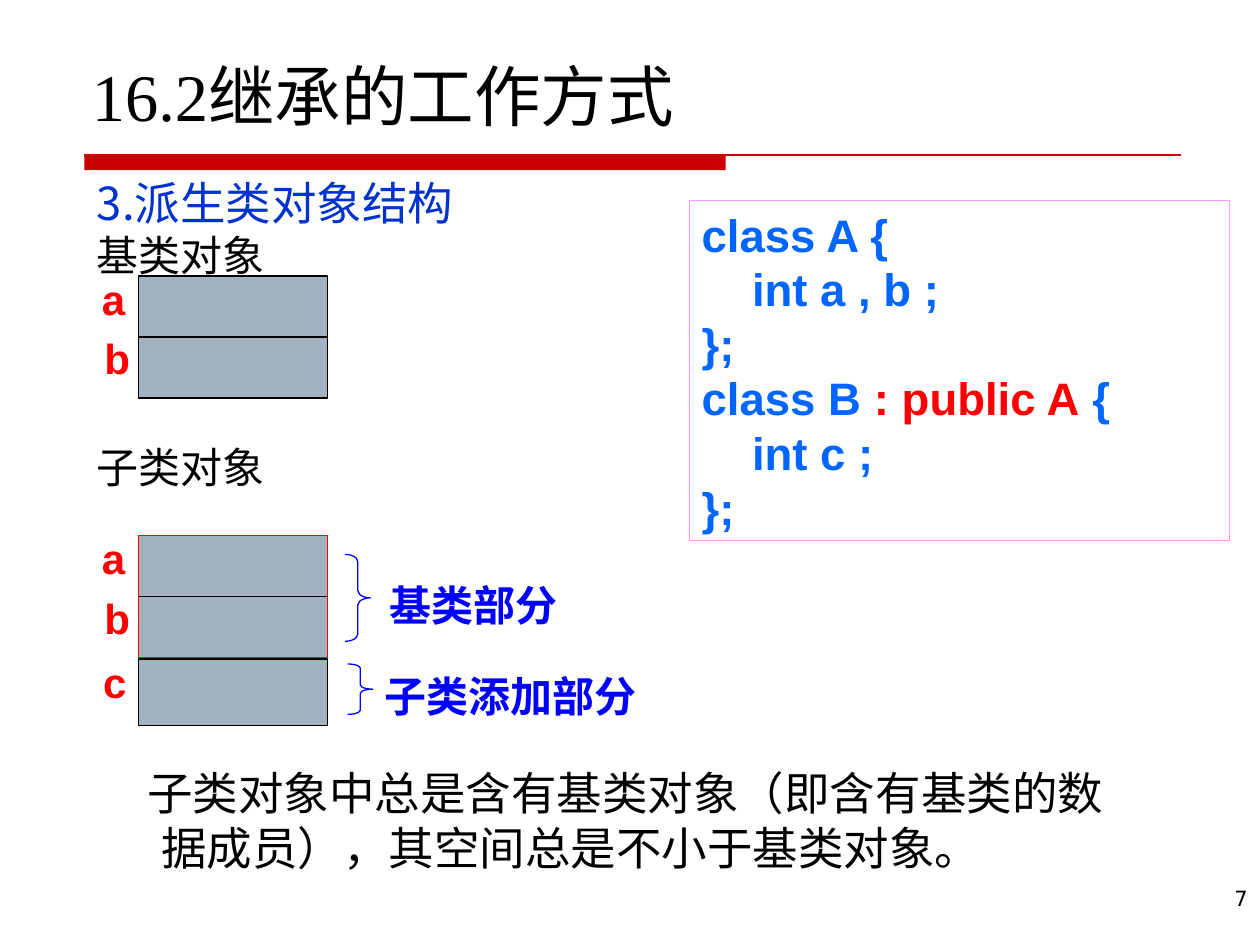
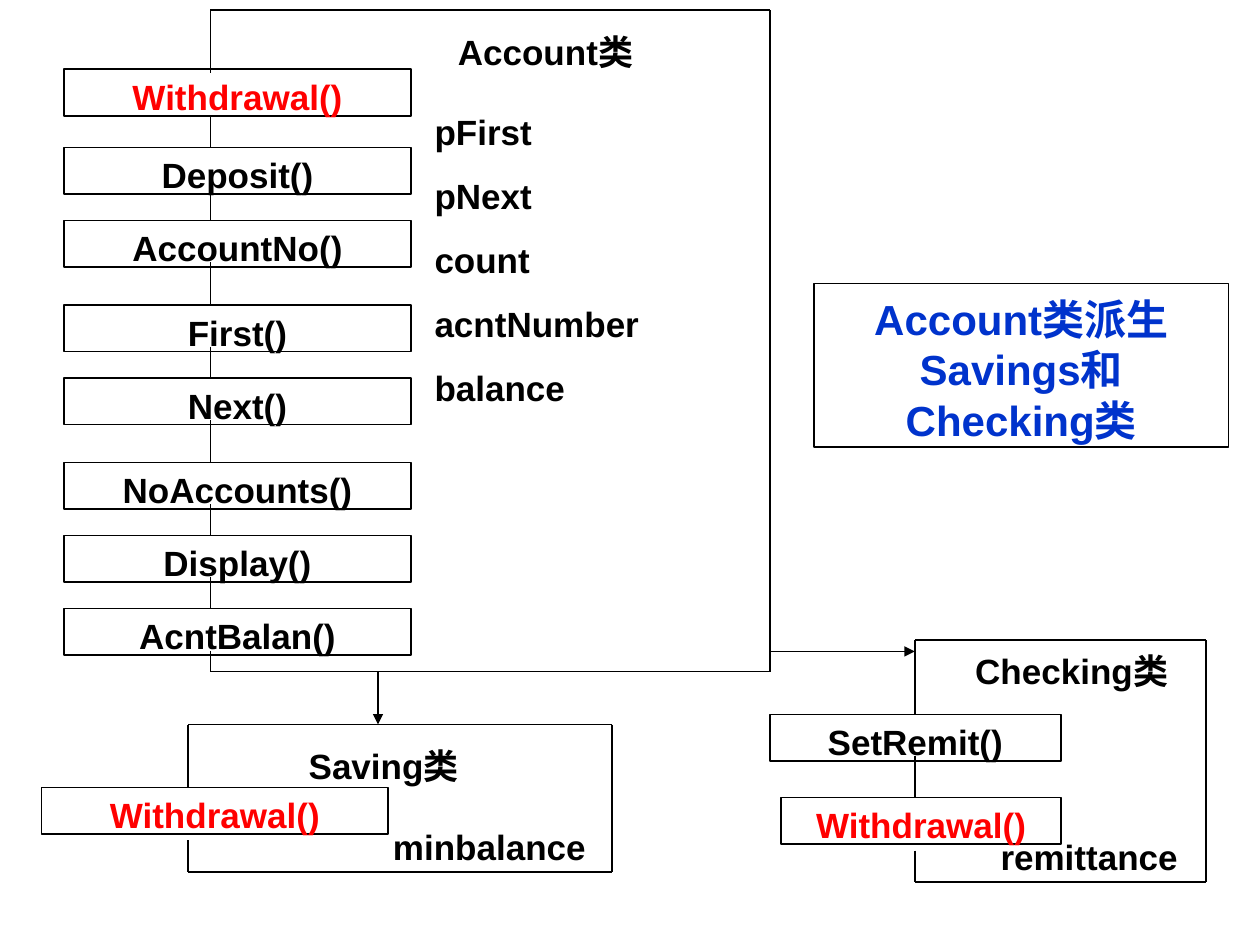
"""Build two slides on how class inheritance works."""
from itertools import pairwise

from pptx import Presentation
from pptx.dml.color import RGBColor
from pptx.enum.shapes import MSO_CONNECTOR, MSO_SHAPE
from pptx.enum.text import MSO_ANCHOR, PP_ALIGN
from pptx.oxml.ns import qn
from pptx.oxml.xmlchemy import OxmlElement
from pptx.util import Cm, Pt

HUES = {
    "black": "000000", "band": "CC0000", "red": "FF0000", "cell": "A3B2C1",
    "blue": "0000FF", "head": "0033CC", "code": "0066FF", "pink": "FF99FF",
}
CJK = "Noto Sans CJK SC"
BOLD = {"name": "Arial", "bold": True}
BODY = {"name": CJK, "bold": False}


def cm(inch):
    return Cm(inch * 2.54)


def hue(name):
    return RGBColor.from_string(HUES[name])


class Deck:
    def __init__(self):
        self.show = Presentation()
        self.show.slide_width, self.show.slide_height = cm(10), cm(7.5)
        self.pen = 0.75

    def start(self, pen):
        self.pen = pen
        self.slide = self.show.slides.add_slide(self.show.slide_layouts[6])

    def letter(self, shape, lines, size, color, font=BOLD, align=PP_ALIGN.LEFT,
               gap=0, wrap=True, anchor=MSO_ANCHOR.TOP):
        frame = shape.text_frame
        rows = [[(row, color)] if isinstance(row, str) else row for row in lines]
        wide = any(char > "⺀" for row in rows for text, _ in row for char in text)
        lift = 0.09 * size / 72 if wide else 0
        form = {"word_wrap": wrap, "vertical_anchor": anchor,
                "margin_left": cm(0.1), "margin_right": cm(0.1),
                "margin_top": cm(0.05 + lift), "margin_bottom": cm(0.05)}
        for key, val in form.items():
            setattr(frame, key, val)
        for num, row in enumerate(rows):
            para = frame.paragraphs[0] if num == 0 else frame.add_paragraph()
            look = {"alignment": align, "line_spacing": Pt(1.2 * size),
                    "space_before": Pt(gap if num else 0)}
            for key, val in look.items():
                setattr(para, key, val)
            for text, tone in row:
                run = para.add_run()
                run.text = text
                for key, val in {**font, "size": Pt(size)}.items():
                    setattr(run.font, key, val)
                run.font.color.rgb = hue(tone)
                east = OxmlElement("a:ea")
                east.set("typeface", CJK)
                run._r.get_or_add_rPr().append(east)
        return shape

    def label(self, at, lines, size, color="black", **form):
        box = self.slide.shapes.add_textbox(*map(cm, at))
        return self.letter(box, lines, size, color, **form)

    def block(self, at, fill=None, edge="black", kind=MSO_SHAPE.RECTANGLE):
        shape = self.slide.shapes.add_shape(kind, *map(cm, at))
        shape.shadow.inherit = False
        if fill:
            shape.fill.solid()
            shape.fill.fore_color.rgb = hue(fill)
        else:
            shape.fill.background()
        if edge:
            shape.line.color.rgb = hue(edge)
            shape.line.width = Pt(self.pen)
        else:
            shape.line.fill.background()
        return shape

    def brace(self, x, y, tall):
        shape = self.block((x, y, 0.2, tall), edge="blue", kind=MSO_SHAPE.RIGHT_BRACE)
        shape.adjustments[0] = tall / 12 / 0.2

    def line(self, a, b, color="black", arrow=False):
        link = self.slide.shapes.add_connector(
            MSO_CONNECTOR.STRAIGHT, *map(cm, (*a, *b)))
        link.line.color.rgb = hue(color)
        link.line.width = Pt(self.pen)
        prop = link._element.spPr
        if arrow:
            tail = OxmlElement("a:tailEnd")
            tail.set("type", "triangle")
            prop.find(qn("a:ln")).append(tail)
        prop.append(OxmlElement("a:effectLst"))
        return link

    def chain(self, *points):
        for a, b in pairwise(points):
            self.line(a, b)

    def title(self, text):
        self.label((0.63, 0.34, 8.75, 0.74), [text], 38,
                   font={"name": "Times New Roman"})
        self.block((0.67, 1.23, 5.09, 0.12), "band", None)
        self.line((0.67, 1.23), (9.37, 1.23), "band")

    def pair(self, top, edge):
        cell = self.block((1.1, top, 1.5, 0.97), "cell", edge)
        mid = top + 0.48
        link = self.line((1.1, mid), (2.6, mid))
        link.begin_connect(cell, 1)
        link.end_connect(cell, 3)
        self.field("a", 0.71, top)
        self.field("b", 0.73, top + 0.47)

    def field(self, text, x, y):
        self.label((x, y, 0.32, 0.36), [text], 24, "red", wrap=False,
                   align=PP_ALIGN.CENTER, anchor=MSO_ANCHOR.MIDDLE)

    def method(self, text, x, y, wide=2.75):
        color = "red" if text == "Withdrawal()" else "black"
        self.letter(self.block((x, y, wide, 0.37)), [text], 20, color,
                    align=PP_ALIGN.CENTER)

    def name(self, text, x, y, wide):
        self.label((x, y, wide, 0.44), [text], 20, align=PP_ALIGN.CENTER)


def layout(deck):
    deck.start(0.75)
    deck.title("16.2继承的工作方式")
    deck.label((0.67, 1.31, 4.5, 0.5), ["3.派生类对象结构"], 26, "head", font=BODY)
    for text, y in (("基类对象", 1.74), ("子类对象", 3.42)):
        deck.label((0.67, y, 3, 0.45), [text], 24, font=BODY)
    note = deck.label(
        (0.67, 5.99, 8.35, 0.95),
        ["子类对象中总是含有基类对象（即含有基类的数据成员），其空间总是不小于基类对象。"],
        26, font=BODY)
    prop = note.text_frame.paragraphs[0]._p.get_or_add_pPr()
    for key, val in {"marL": 0.51, "indent": -0.11}.items():
        prop.set(key, str(int(cm(val))))
    deck.pair(2.19, "black")
    deck.pair(4.25, "red")
    deck.block((1.1, 5.23, 1.5, 0.53), "cell")
    deck.field("c", 0.72, 5.23)
    deck.brace(2.74, 4.4, 0.69)
    deck.brace(2.76, 5.27, 0.4)
    for text, x, y in (("基类部分", 2.99, 4.52), ("子类添加部分", 2.95, 5.24)):
        deck.label((x, y, 2.3, 0.45), [text], 24, "blue")
    code = ["class A {", "    int a , b ;", "};",
            [("class B ", "code"), (": public A", "red"), (" {", "code")],
            "    int c ;", "};"]
    deck.letter(deck.block((5.47, 1.59, 4.29, 2.7), edge="pink"), code, 26, "code")
    deck.label((7.86, 6.98, 2.14, 0.52), ["7"], 12,
               font={"name": "DejaVu Sans"}, align=PP_ALIGN.RIGHT)


def family(deck):
    deck.start(1)
    calls = {"Withdrawal()": 0.55, "Deposit()": 1.17, "AccountNo()": 1.75,
             "First()": 2.42, "Next()": 3, "NoAccounts()": 3.67,
             "Display()": 4.25, "AcntBalan()": 4.83}
    for text, y in calls.items():
        deck.method(text, 0.51, y)
    for top, low in pairwise(calls.values()):
        deck.line((1.67, max(top + 0.33, 0.92)), (1.67, low))
    deck.chain((1.67, 5.17), (1.67, 5.33), (6.11, 5.33), (6.11, 0.08),
               (1.67, 0.08), (1.67, 0.58))
    deck.name("Account类", 2.91, 0.17, 2.84)
    deck.label((3.35, 0.83, 2.31, 2.46),
               ["pFirst", "pNext", "count", "acntNumber", "balance"], 20, gap=12.5)

    deck.method("Withdrawal()", 0.33, 6.25)
    deck.chain((1.49, 6.67), (1.49, 6.92), (4.86, 6.92), (4.86, 5.75),
               (1.49, 5.75), (1.49, 6.25))
    deck.name("Saving类", 2.2, 5.83, 1.69)
    deck.name("minbalance", 2.82, 6.5, 2.13)

    deck.method("SetRemit()", 6.11, 5.67, 2.31)
    deck.method("Withdrawal()", 6.2, 6.33, 2.22)
    deck.line((7.26, 6), (7.26, 6.33))
    deck.chain((7.26, 6.75), (7.26, 7), (9.57, 7), (9.57, 5.08),
               (7.26, 5.08), (7.26, 5.67))
    deck.name("Checking类", 7.44, 5.08, 2.13)
    deck.name("remittance", 7.71, 6.58, 1.87)

    deck.line((3, 5.33), (3, 5.75), arrow=True)
    deck.line((6.11, 5.17), (7.26, 5.17), arrow=True)
    deck.letter(deck.block((6.46, 2.25, 3.29, 1.3)),
                ["Account类派生Savings和Checking类"], 24, "head",
                align=PP_ALIGN.CENTER)


def main():
    deck = Deck()
    layout(deck)
    family(deck)
    deck.show.save("out.pptx")


if __name__ == "__main__":
    main()
